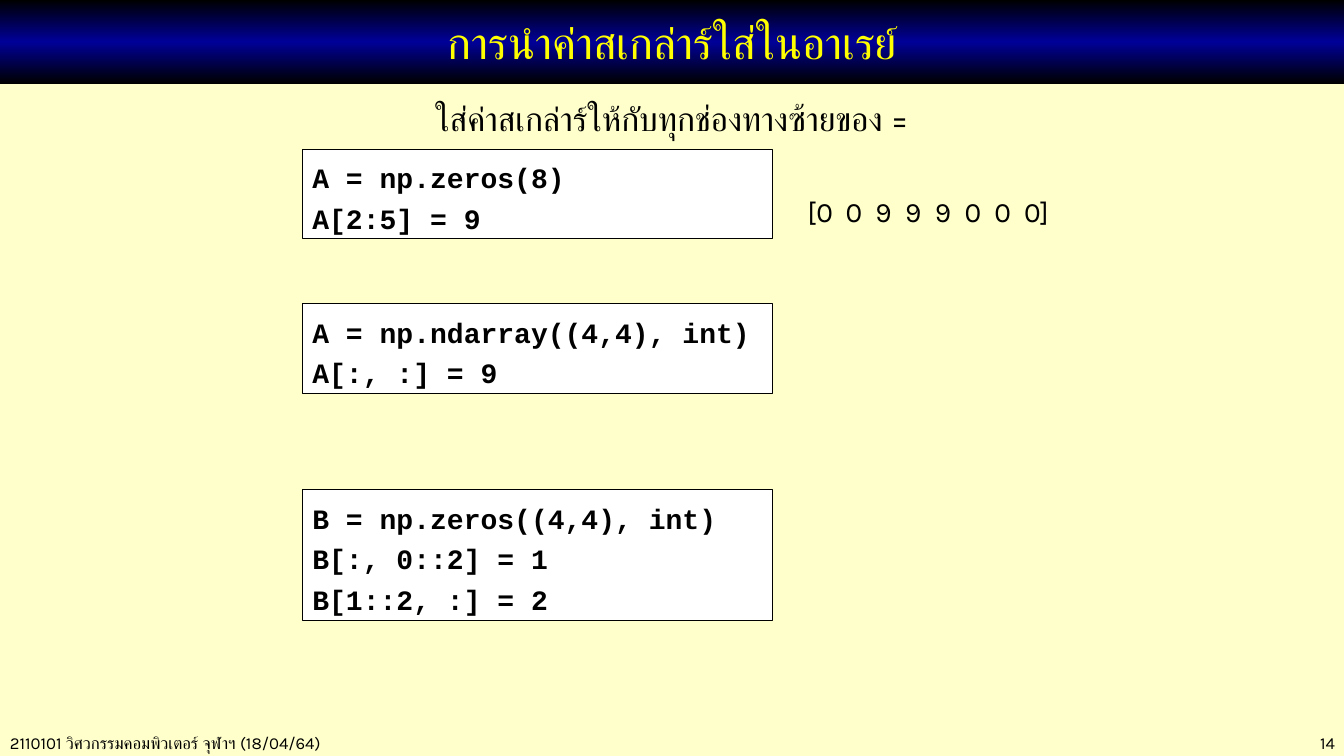
from lxml import etree
from pptx import Presentation
from pptx.dml.color import RGBColor
from pptx.enum.shapes import MSO_SHAPE
from pptx.enum.text import MSO_ANCHOR, MSO_AUTO_SIZE, PP_ALIGN
from pptx.oxml.ns import qn
from pptx.util import Inches, Pt

RECT = MSO_SHAPE.RECTANGLE
TOP, MIDDLE = MSO_ANCHOR.TOP, MSO_ANCHOR.MIDDLE
LEFT, CENTER, RIGHT = PP_ALIGN.LEFT, PP_ALIGN.CENTER, PP_ALIGN.RIGHT
NO_AUTOFIT = MSO_AUTO_SIZE.NONE
BLACK, WHITE, YELLOW, NAVY, CREAM = "000000", "FFFFFF", "FFFF00", "000099", "FFFFCC"
BODY_FONT, CODE_FONT = "Karla", "Courier New"
TITLE_ONLY = 5

CODE_BLOCKS = [
    (1.48, 0.89, ["A = np.zeros(8)", "A[2:5] = 9"]),
    (3.01, 0.89, ["A = np.ndarray((4,4), int)", "A[:, :] = 9"]),
    (4.86, 1.3, ["B = np.zeros((4,4), int)", "B[:, 0::2] = 1", "B[1::2, :] = 2"]),
]
ARRAY_VALUES = [0, 0, 9, 9, 9, 0, 0, 0]


def rgb(color):
    return RGBColor.from_string(color)


def format_paragraph(p, size, color=BLACK, font=BODY_FONT, bold=False, align=LEFT):
    p.alignment = align
    p.font.size = Pt(size)
    p.font.name = font
    p.font.bold = bold
    p.font.color.rgb = rgb(color)


def set_gradient(sp, colors):
    """Fill a shape with evenly spaced vertical gradient stops."""
    sp.fill.gradient()
    sp.fill.gradient_angle = 90
    stops = sp._element.spPr.find(qn("a:gradFill")).find(qn("a:gsLst"))
    for stop in list(stops):
        stops.remove(stop)
    for i, color in enumerate(colors):
        stop = etree.SubElement(stops, qn("a:gs"), pos=str(100000 * i // (len(colors) - 1)))
        etree.SubElement(stop, qn("a:srgbClr"), val=color)


def set_tabs(p, first, step, count):
    tabs = etree.SubElement(p._p.get_or_add_pPr(), qn("a:tabLst"))
    for i in range(count):
        etree.SubElement(tabs, qn("a:tab"), pos=str(Inches(first + i * step)), algn="l")


def add_title(slide, text):
    sp = slide.shapes.title
    sp.left, sp.top, sp.width, sp.height = Inches(0), Inches(0), Inches(13.34), Inches(0.83)
    set_gradient(sp, [BLACK, NAVY, BLACK])
    tf = sp.text_frame
    tf.text = text
    tf.auto_size = NO_AUTOFIT
    tf.vertical_anchor = MIDDLE
    format_paragraph(tf.paragraphs[0], 32, YELLOW, align=CENTER)


def add_text(slide, text, left, top, width, height, size, align=LEFT):
    sp = slide.shapes.add_textbox(Inches(left), Inches(top), Inches(width), Inches(height))
    tf = sp.text_frame
    tf.word_wrap = True
    p = tf.paragraphs[0]
    p.text = text
    format_paragraph(p, size, align=align)
    return p


def add_array(slide, values, left, top, width, height):
    text = "[" + "\t".join(map(str, values)) + "]"
    p = add_text(slide, "", left, top, width, height, 20)
    # Tab stops go before the default run properties
    p._p.get_or_add_pPr().clear()
    set_tabs(p, 0.38, 0.295, len(values) - 1)
    p.text = text
    format_paragraph(p, 20)


def add_code(slide, lines, left, top, width, height):
    sp = slide.shapes.add_shape(RECT, Inches(left), Inches(top), Inches(width), Inches(height))
    sp.shadow.inherit = False
    sp.fill.solid()
    sp.fill.fore_color.rgb = rgb(WHITE)
    sp.line.color.rgb = rgb(BLACK)
    sp.line.width = Pt(0.75)
    tf = sp.text_frame
    tf.word_wrap = True
    tf.vertical_anchor = TOP
    tf.text = "\n".join(lines)
    for p in tf.paragraphs:
        p.line_spacing = 1.2
        format_paragraph(p, 20, font=CODE_FONT, bold=True)


def main():
    prs = Presentation()
    prs.slide_width, prs.slide_height = Inches(13.33), Inches(7.5)
    slide = prs.slides.add_slide(prs.slide_layouts[TITLE_ONLY])
    slide.background.fill.solid()
    slide.background.fill.fore_color.rgb = rgb(CREAM)

    # Heading
    add_title(slide, "การนำค่าสเกล่าร์ใส่ในอาเรย์")
    add_text(slide, "ใส่ค่าสเกล่าร์ให้กับทุกช่องทางซ้ายของ =", 2.33, 0.92, 8.67, 0.5, 24, CENTER)

    # Code examples and the first result
    for top, height, lines in CODE_BLOCKS:
        add_code(slide, lines, 3, top, 4.66, height)
    add_array(slide, ARRAY_VALUES, 7.91, 1.88, 2.84, 0.44)

    # Footer
    add_text(slide, "2110101 วิศวกรรมคอมพิวเตอร์ จุฬาฯ (18/04/64)", 0, 7.22, 5.2, 0.3, 12)
    add_text(slide, "14", 11.5, 7.22, 1.84, 0.3, 12, RIGHT)

    prs.save("out.pptx")


if __name__ == "__main__":
    main()
